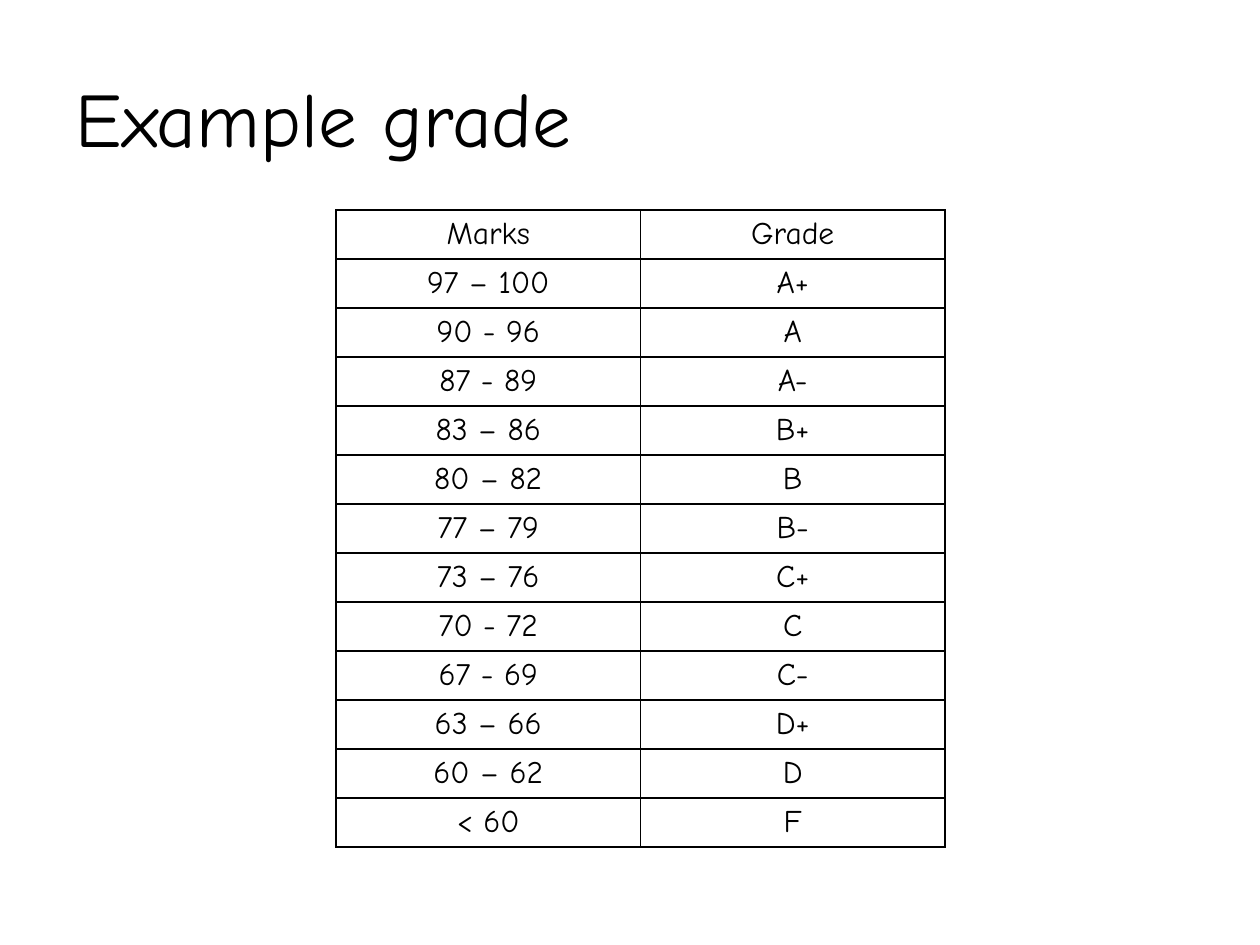
import pptx
import pptx.dml.color
import pptx.enum.text
import pptx.oxml
import pptx.oxml.ns
import pptx.util

COLORS = {"ink": "000000", "paper": "FFFFFF"}
FONT = "Comic Neue"
PX_PER_INCH = 126
GRADES = [
    ("Marks", "Grade"),
    ("97 – 100", "A+"),
    ("90 - 96", "A"),
    ("87 - 89", "A-"),
    ("83 – 86", "B+"),
    ("80 – 82", "B"),
    ("77 – 79", "B-"),
    ("73 – 76", "C+"),
    ("70 - 72", "C"),
    ("67 - 69", "C-"),
    ("63 – 66", "D+"),
    ("60 – 62", "D"),
    ("< 60", "F"),
]


def px(length):
    return pptx.util.Emu(round(length * 914400 / PX_PER_INCH))


def color(name):
    return pptx.dml.color.RGBColor.from_string(COLORS[name])


class SlideBuilder:
    def __init__(self, slide, font):
        self.slide = slide
        self.font = font
        background = slide.background.fill
        background.solid()
        background.fore_color.rgb = color("paper")

    def format_text(self, frame, size, align):
        for paragraph in frame.paragraphs:
            paragraph.alignment = align
            for run in paragraph.runs:
                run.font.name = self.font
                run.font.size = pptx.util.Pt(size)
                run.font.color.rgb = color("ink")

    def title(self, text, left, top, width, height):
        heading = self.slide.shapes.title
        heading.left, heading.top = px(left), px(top)
        heading.width, heading.height = px(width), px(height)
        heading.text_frame.text = text
        heading.text_frame.vertical_anchor = pptx.enum.text.MSO_ANCHOR.MIDDLE
        self.format_text(heading.text_frame, 44, pptx.enum.text.PP_ALIGN.LEFT)

    def border(self, cell):
        properties = cell._tc.get_or_add_tcPr()
        for side in ("L", "R", "T", "B"):
            properties.append(pptx.oxml.parse_xml(
                f'<a:ln{side} {pptx.oxml.ns.nsdecls("a")} w="{pptx.util.Pt(1)}">'
                f'<a:solidFill><a:srgbClr val="{COLORS["ink"]}"/></a:solidFill>'
                f'</a:ln{side}>'
            ))

    def table(self, rows, left, top, width, row_height):
        grid = self.slide.shapes.add_table(
            len(rows), len(rows[0]), px(left), px(top),
            px(width), px(row_height * len(rows)),
        ).table
        grid.first_row = False
        grid.horz_banding = False
        for row, values in zip(grid.rows, rows):
            row.height = px(row_height)
            for cell, value in zip(row.cells, values):
                cell.text_frame.text = value
                self.format_text(cell.text_frame, 18, pptx.enum.text.PP_ALIGN.CENTER)
                self.border(cell)
                cell.fill.background()


def main():
    deck = pptx.Presentation()
    deck.slide_width, deck.slide_height = px(1260), px(945)
    builder = SlideBuilder(deck.slides.add_slide(deck.slide_layouts[5]), FONT)
    builder.title("Example grade", 63, 38, 1134, 157)
    builder.table(GRADES, left=336, top=210, width=609, row_height=49)
    deck.save("out.pptx")


if __name__ == "__main__":
    main()
